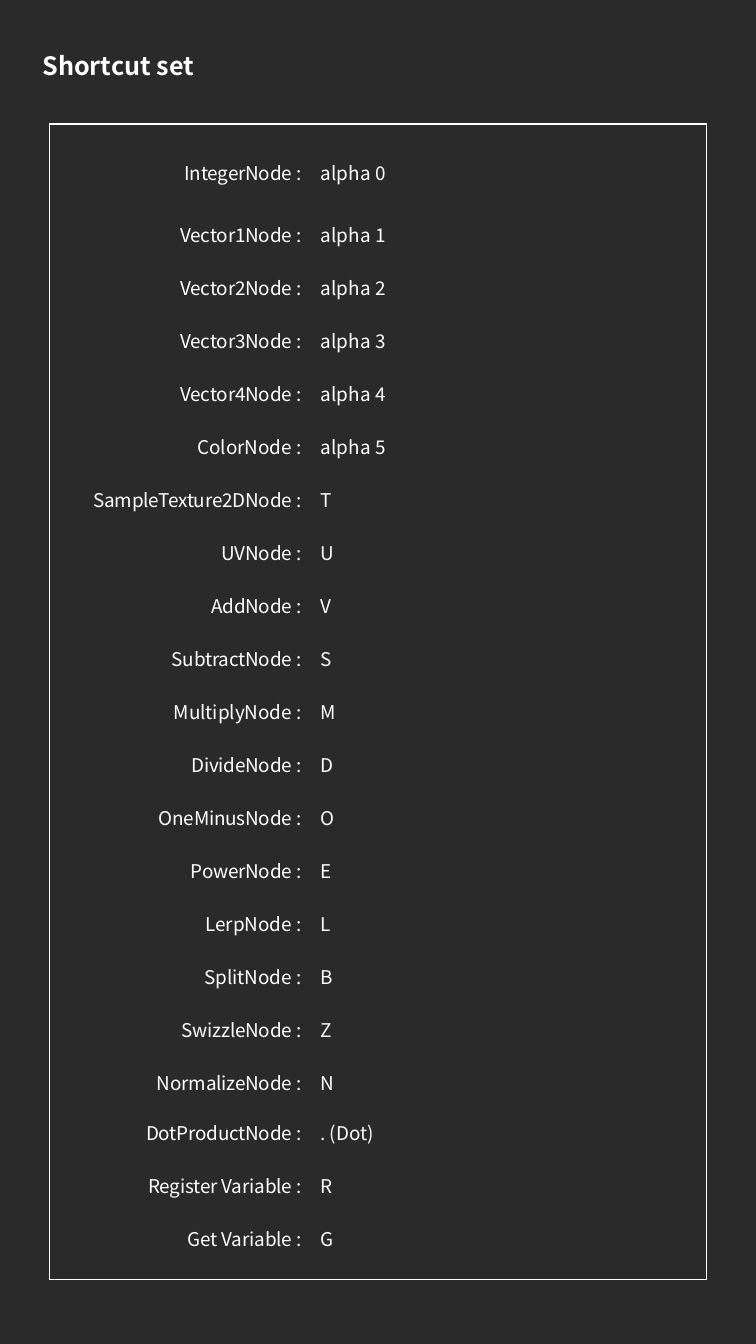
import pptx
import pptx.util
import pptx.dml.color
import pptx.enum.shapes
import pptx.enum.text
import pptx.oxml.ns

Inches = pptx.util.Inches
Pt = pptx.util.Pt
qn = pptx.oxml.ns.qn
ALIGN = pptx.enum.text.PP_ALIGN
ANCHOR = pptx.enum.text.MSO_ANCHOR

CHARCOAL = pptx.dml.color.RGBColor(0x2A, 0x2A, 0x2A)
WHITE = pptx.dml.color.RGBColor(0xFF, 0xFF, 0xFF)
FONT = "Noto Sans CJK KR"
NO_GRID_STYLE = "{2D5ABB26-0587-4C30-8999-92F81FD0307C}"

SHORTCUTS = [
    ("IntegerNode", "alpha 0"),
    ("Vector1Node", "alpha 1"),
    ("Vector2Node", "alpha 2"),
    ("Vector3Node", "alpha 3"),
    ("Vector4Node", "alpha 4"),
    ("ColorNode", "alpha 5"),
    ("SampleTexture2DNode", "T"),
    ("UVNode", "U"),
    ("AddNode", "V"),
    ("SubtractNode", "S"),
    ("MultiplyNode", "M"),
    ("DivideNode", "D"),
    ("OneMinusNode", "O"),
    ("PowerNode", "E"),
    ("LerpNode", "L"),
    ("SplitNode", "B"),
    ("SwizzleNode", "Z"),
    ("NormalizeNode", "N"),
    ("DotProductNode", ". (Dot)"),
    ("Register Variable", "R"),
    ("Get Variable", "G"),
]
UNTRACKED_NODES = {"ColorNode", "MultiplyNode", "LerpNode", "SplitNode"}
FIRST_TIGHT_ROW = 18


def write_text(frame, text, size=13.5, bold=False, align=ALIGN.LEFT,
               space_before=0, line_spacing=None, tracking=0):
    paragraph = frame.paragraphs[0]
    paragraph.alignment = align
    paragraph.space_before = Pt(space_before)
    if line_spacing:
        paragraph.line_spacing = Pt(line_spacing)
    lead, gap, ending = text.rpartition(" ")
    pieces = [(lead + gap, tracking), (ending, 0)] if tracking else [(text, 0)]
    for piece, spacing in pieces:
        run = paragraph.add_run()
        run.text = piece
        run.font.name = FONT
        run.font.size = Pt(size)
        run.font.bold = bold
        run.font.color.rgb = WHITE
        properties = run.font._element
        properties.set("spc", str(round(spacing * 100)))
        for tag in ("a:ea", "a:cs"):
            properties.append(properties.makeelement(qn(tag), {"typeface": FONT}))


class ShortcutSlide:
    def __init__(self, deck):
        self.slide = deck.slides.add_slide(deck.slide_layouts[6])
        background = self.slide.background.fill
        background.solid()
        background.fore_color.rgb = CHARCOAL

    def title(self, text, left, top, width, height):
        box = self.slide.shapes.add_textbox(
            Inches(left), Inches(top), Inches(width), Inches(height))
        frame = box.text_frame
        frame.word_wrap = True
        frame.auto_size = pptx.enum.text.MSO_AUTO_SIZE.SHAPE_TO_FIT_TEXT
        frame.margin_left = frame.margin_right = frame.margin_bottom = 0
        frame.margin_top = Inches(0.02)
        write_text(frame, text, size=18, bold=True, space_before=1)

    def line(self, x1, y1, x2, y2):
        edge = self.slide.shapes.add_connector(
            pptx.enum.shapes.MSO_CONNECTOR.STRAIGHT,
            Inches(x1), Inches(y1), Inches(x2), Inches(y2))
        edge.line.color.rgb = WHITE
        edge.line.width = Pt(1)
        properties = edge._element.spPr
        properties.append(properties.makeelement(qn("a:effectLst"), {}))

    def border(self, left, top, right, bottom):
        for x in (left, right):
            self.line(x, top, x, bottom)
        for y in (top, bottom):
            self.line(left, y, right, y)

    def shortcut_table(self, shortcuts, left, top, widths, height):
        holder = self.slide.shapes.add_table(
            len(shortcuts), len(widths),
            Inches(left), Inches(top), Inches(sum(widths)), Inches(height))
        table = holder.table
        table.first_row = table.horz_banding = False
        style_id = table._tbl.tblPr.find(qn("a:tableStyleId"))
        style_id.text = NO_GRID_STYLE
        for column, width in zip(table.columns, widths):
            column.width = Inches(width)
        for index, (node, key) in enumerate(shortcuts):
            spacing = {
                "space_before": 13.9 if index else 1.2,
                "line_spacing": 15.8 if index >= FIRST_TIGHT_ROW else None,
            }
            margin_top = 0.19 if index else 0.02
            self.cell(table.cell(index, 0), f"{node} :", margin_top,
                      right=0.09, align=ALIGN.RIGHT,
                      tracking=0 if node in UNTRACKED_NODES else -0.1, **spacing)
            self.cell(table.cell(index, 1), key, margin_top, left=0.1,
                      tracking=0.1 if key.startswith("alpha") else 0, **spacing)

    def cell(self, cell, text, margin_top, left=0, right=0, **text_format):
        cell.fill.solid()
        cell.fill.fore_color.rgb = CHARCOAL
        cell.vertical_anchor = ANCHOR.MIDDLE
        cell.margin_left = Inches(left)
        cell.margin_right = Inches(right)
        cell.margin_top = Inches(margin_top)
        cell.margin_bottom = 0
        write_text(cell.text_frame, text, **text_format)


def main():
    deck = pptx.Presentation()
    deck.slide_width = Inches(7.5)
    deck.slide_height = Inches(13.33)
    page = ShortcutSlide(deck)
    page.border(0.49, 1.23, 7.01, 12.69)
    page.shortcut_table(SHORTCUTS, 0.74, 1.44, (2.34, 0.92), 11.04)
    page.title("Shortcut set", 0.42, 0.48, 1.76, 0.32)
    deck.save("out.pptx")


if __name__ == "__main__":
    main()
